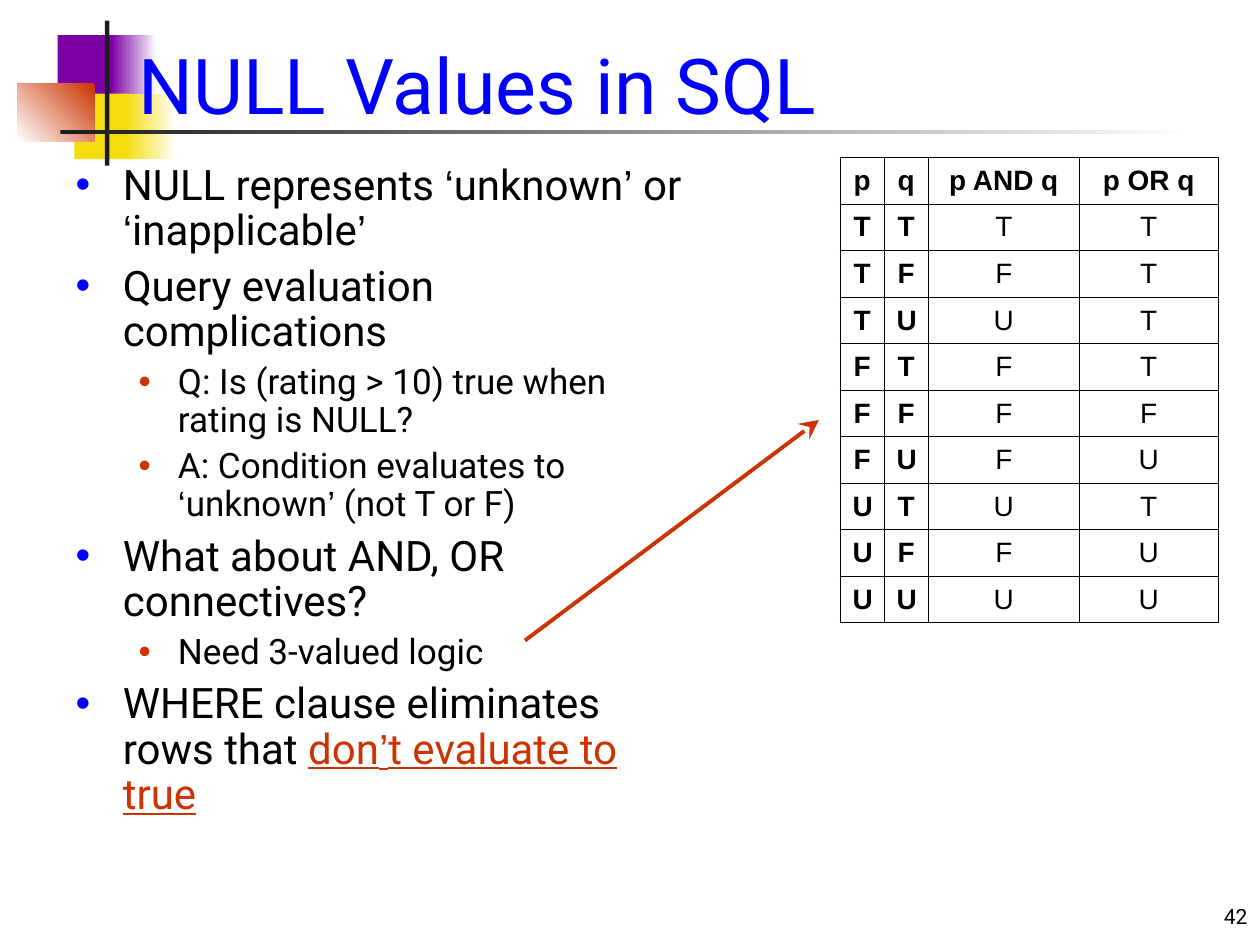
"""Build the slide on NULL values and three-valued logic in SQL."""
from itertools import groupby, product

from lxml import etree
from pptx import Presentation
from pptx.dml.color import RGBColor
from pptx.enum.shapes import MSO_CONNECTOR, MSO_SHAPE
from pptx.enum.text import MSO_ANCHOR, MSO_AUTO_SIZE, PP_ALIGN
from pptx.oxml.ns import qn
from pptx.util import Pt

RECT = MSO_SHAPE.RECTANGLE
LINE = MSO_CONNECTOR.STRAIGHT
TOP, MID, LOW = MSO_ANCHOR.TOP, MSO_ANCHOR.MIDDLE, MSO_ANCHOR.BOTTOM
FIXED = MSO_AUTO_SIZE.NONE
LEFT, CENTER, RIGHT = PP_ALIGN.LEFT, PP_ALIGN.CENTER, PP_ALIGN.RIGHT

BLACK = RGBColor(0x00, 0x00, 0x00)
WHITE = RGBColor(0xFF, 0xFF, 0xFF)
BLUE = RGBColor(0x00, 0x00, 0xFF)
RED = RGBColor(0xCC, 0x33, 0x00)
PURPLE = RGBColor(0x7B, 0x00, 0xA6)
YELLOW = RGBColor(0xF3, 0xDD, 0x0D)
DARK = RGBColor(0x1C, 0x1C, 0x1C)


def write(para, text, size=24, font="Roboto", color=BLACK, bold=False, line=False, align=LEFT):
    """Add text to a paragraph, with curly quotes set in Arial."""
    para.alignment = align
    for quote, chars in groupby(text, lambda c: c in "‘’"):
        run = para.add_run()
        run.text = "".join(chars)
        run.font.name = "Arial" if quote else font
        run.font.size = Pt(size)
        run.font.color.rgb = color
        run.font.bold = bold
        run.font.underline = line


def add(parent, tag, **attrs):
    """Append a drawing element and return it."""
    return etree.SubElement(parent, qn(tag), attrs)


prs = Presentation()
prs.slide_width, prs.slide_height = Pt(720), Pt(540)
slide = prs.slides.add_slide(prs.slide_layouts[1])
shapes = slide.shapes
title, body = slide.placeholders

decor = [
    ((33, 20, 34.5, 37.5), PURPLE, None),
    ((63.5, 20, 26, 37.5), PURPLE, 0),
    ((42.5, 53.5, 33, 37.5), YELLOW, None),
    ((72, 53.5, 29, 37.5), YELLOW, 0),
    ((10, 47.5, 44, 33.5), RED, 225),
    ((60, 11.75, 2.5, 83), DARK, None),
    ((34.5, 74.25, 648, 2.25), DARK, 0),
]
for box, color, angle in decor:
    block = shapes.add_shape(RECT, *map(Pt, box))
    block.shadow.inherit = False
    block.line.fill.background()
    if angle is None:
        block.fill.solid()
        block.fill.fore_color.rgb = color
    else:
        block.fill.gradient()
        block.fill.gradient_angle = angle
        for stop, shade in zip(block.fill.gradient_stops, (color, WHITE)):
            stop.color.rgb = shade

number = shapes.add_textbox(Pt(570), Pt(498), Pt(150), Pt(36))
write(number.text_frame.paragraphs[0], "42", size=12, align=RIGHT)

frames = [
    (title, (72, -12, 636, 90), LOW),
    (body, (36, 90, 366, 390), TOP),
    (number, (570, 498, 150, 36), LOW),
]
for shape, box, anchor in frames:
    shape.left, shape.top, shape.width, shape.height = map(Pt, box)
    frame = shape.text_frame
    frame.word_wrap = True
    frame.auto_size = FIXED
    frame.vertical_anchor = anchor
    shapes.element.append(shape.element)
write(title.text_frame.paragraphs[0], "NULL Values in SQL", size=44, color=BLUE)

points = [
    (0, "NULL represents ‘unknown’ or ‘inapplicable’"),
    (0, "Query evaluation complications"),
    (1, "Q: Is (rating > 10) true when rating is NULL?"),
    (1, "A: Condition evaluates to ‘unknown’ (not T or F)"),
    (0, "What about AND, OR connectives?"),
    (1, "Need 3-valued logic"),
    (0, "WHERE clause eliminates rows that "),
]
levels = [(27, 27, 6, 24, BLUE), (58.5, 22.5, 5, 20, RED)]
for i, (level, text) in enumerate(points):
    margin, hang, gap, size, color = levels[level]
    para = body.text_frame.paragraphs[0] if i == 0 else body.text_frame.add_paragraph()
    para.level = level
    para.line_spacing = 0.9
    para.space_before = Pt(gap if i else 0)
    props = para._p.get_or_add_pPr()
    props.set("marL", str(Pt(margin)))
    props.set("indent", str(-Pt(hang)))
    add(add(props, "a:buClr"), "a:srgbClr", val=str(color))
    add(props, "a:buFont", typeface="Arial")
    add(props, "a:buChar", char="•")
    write(para, text, size=size)
write(para, "don’t evaluate to true", color=RED, line=True)

order = "FUT"
rows = [("p", "q", "p AND q", "p OR q")]
for p, q in product("TFU", repeat=2):
    rows.append((p, q, min(p, q, key=order.index), max(p, q, key=order.index)))
widths = [25.2, 25.2, 86.4, 79.2]
table = shapes.add_table(len(rows), 4, Pt(480), Pt(90), Pt(216), Pt(266)).table
table.first_row = table.horz_banding = False
for col, width in zip(table.columns, widths):
    col.width = Pt(width)
for r, row in enumerate(rows):
    table.rows[r].height = Pt(26.6)
    for c, text in enumerate(row):
        cell = table.cell(r, c)
        cell.vertical_anchor = MID
        props = cell._tc.get_or_add_tcPr()
        for side in ("a:lnL", "a:lnR", "a:lnT", "a:lnB"):
            edge = add(props, side, w=str(Pt(0.45)))
            add(add(edge, "a:solidFill"), "a:srgbClr", val=str(BLACK))
        cell.fill.background()
        write(cell.text_frame.paragraphs[0], text, size=16, font="Arial",
              bold=r == 0 or c < 2, align=CENTER)

arrow = shapes.add_connector(LINE, Pt(300), Pt(366), Pt(468), Pt(240))
arrow.line.color.rgb = RED
arrow.line.width = Pt(2.25)
add(arrow.line._get_or_add_ln(), "a:tailEnd", type="stealth", w="lg", len="lg")
add(arrow.element.spPr, "a:effectLst")

prs.save("out.pptx")
